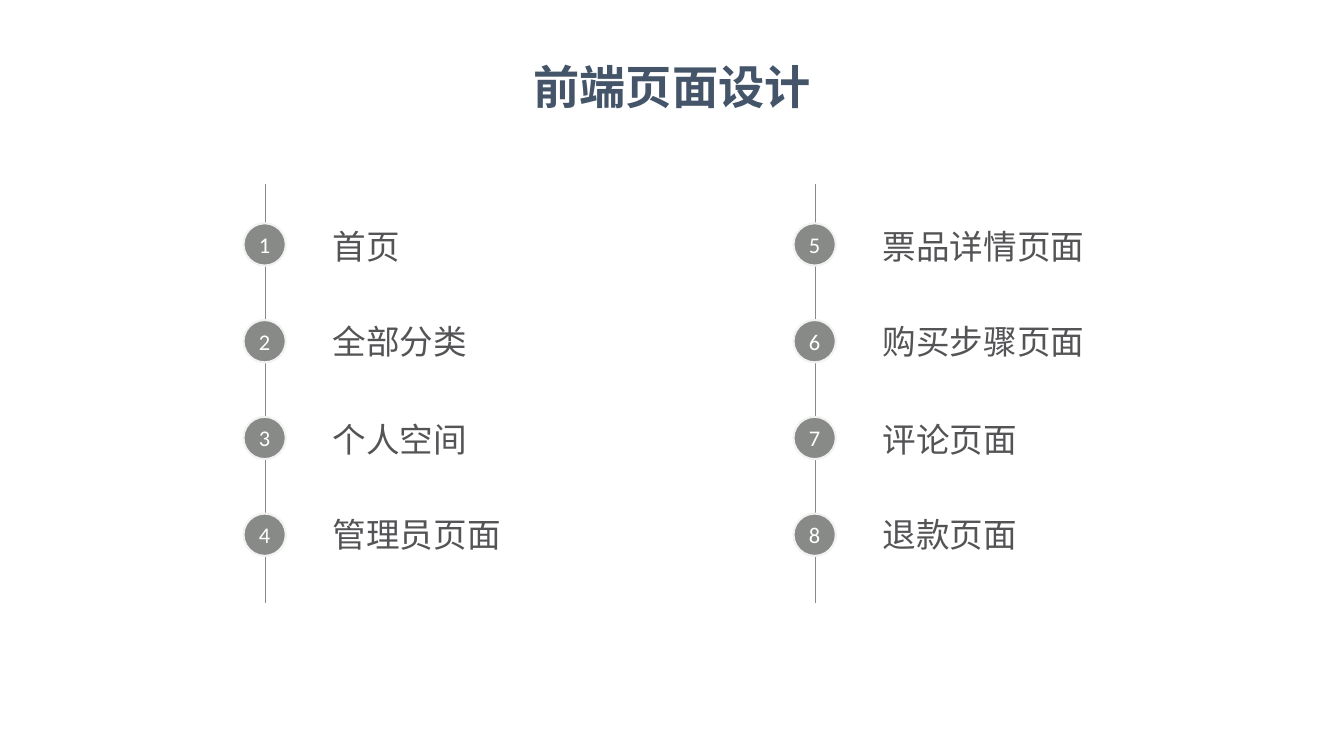
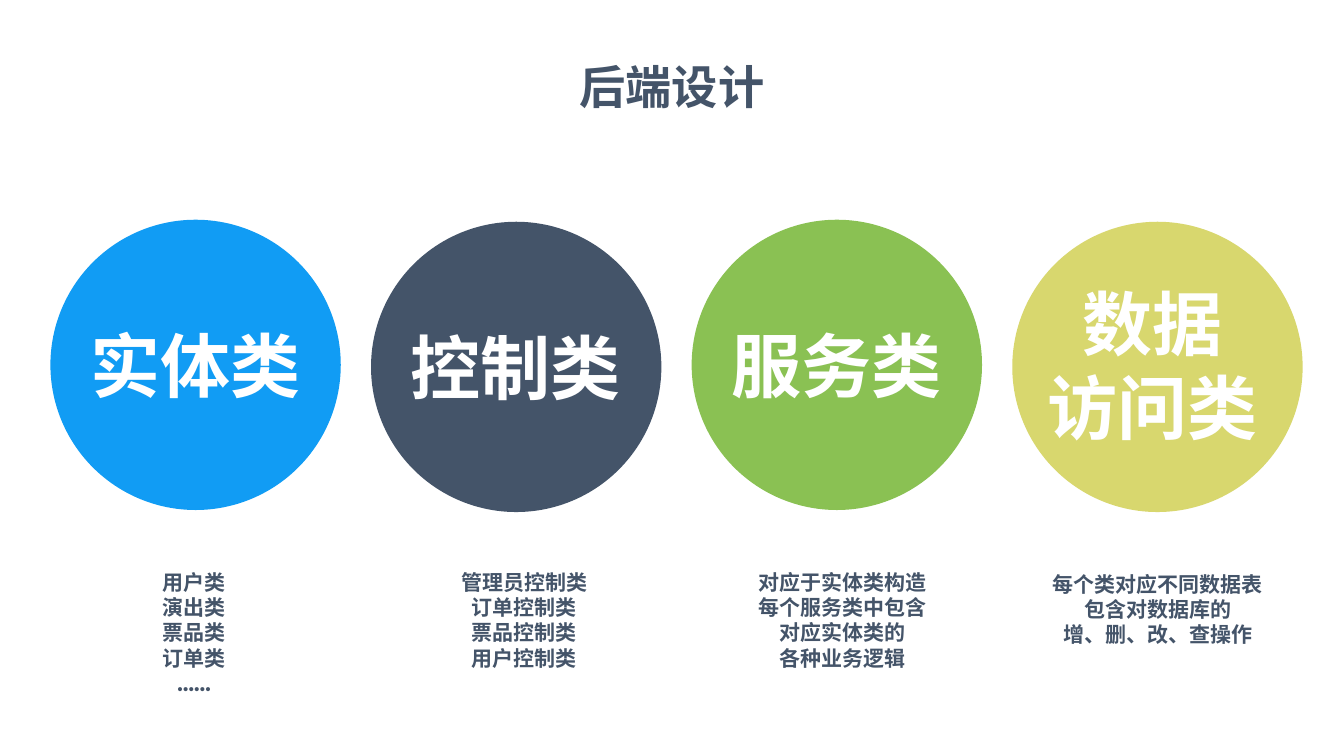
from pptx import Presentation
from pptx.dml.color import RGBColor
from pptx.enum.shapes import MSO_CONNECTOR, MSO_SHAPE
from pptx.enum.text import MSO_ANCHOR, MSO_AUTO_SIZE, PP_ALIGN
from pptx.oxml.ns import qn
from pptx.util import Inches, Pt
from lxml import etree

SLIDE_WIDTH, SLIDE_HEIGHT = 26.66, 15
NAVY, GRAY, TEXT_GRAY = "445469", "888A87", "545356"
WHITE, PALE = "FFFFFF", "F2F2F2"
BLUE, GREEN, YELLOW = "119CF4", "8AC153", "D8D76E"
HEADING_FONT, ITEM_FONT, NUMBER_FONT = "Montserrat", "Arial", "Calibri"

TIMELINES = [
    (4.83, 1, ["首页", "全部分类", "个人空间", "管理员页面"]),
    (15.74, 5, ["票品详情页面", "购买步骤页面", "评论页面", "退款页面"]),
]
ITEM_TOPS = [4.43, 6.31, 8.27, 10.15]
BADGE_TOP, BADGE_STEP, BADGE_SIZE = 4.43, 1.92, 0.84

LAYERS = [
    (BLUE, 4.36, "实体类", 3.85, 11.24, "用户类\n演出类\n票品类\n订单类\n……"),
    (NAVY, 4.4, "控制类", 10.4, 11.24,
     "管理员控制类\n订单控制类\n票品控制类\n用户控制类"),
    (GREEN, 4.36, "服务类", 16.71, 11.24,
     "对应于实体类构造\n每个服务类中包含\n对应实体类的\n各种业务逻辑"),
    (YELLOW, 4.4, "数据\n访问类", 22.97, 11.27,
     "每个类对应不同数据表\n包含对数据库的\n增、删、改、查操作"),
]
LAYER_LEFT, LAYER_STEP, LAYER_SIZE = 1, 6.36, 5.76


def color(hex_code):
    return RGBColor.from_string(hex_code)


def write(frame, text, size, font, fill, bold=False, align=PP_ALIGN.CENTER,
          spacing=None, anchor=MSO_ANCHOR.TOP, wrap=False, insets=(0.1, 0.05)):
    frame.word_wrap = wrap
    frame.vertical_anchor = anchor
    frame.margin_left = frame.margin_right = Inches(insets[0])
    frame.margin_top = frame.margin_bottom = Inches(insets[1])
    for index, line in enumerate(text.split("\n")):
        paragraph = frame.paragraphs[0] if index == 0 else frame.add_paragraph()
        paragraph.alignment = align
        if spacing:
            paragraph.line_spacing = Pt(spacing)
        run = paragraph.add_run()
        run.text = line
        run.font.size = Pt(size)
        run.font.name = font
        run.font.bold = bold
        run.font.color.rgb = color(fill)
        east_asian = etree.SubElement(run.font._element, qn("a:ea"))
        east_asian.set("typeface", font)


def add_text(slide, left, top, width, height, text, **style):
    box = slide.shapes.add_textbox(Inches(left), Inches(top), Inches(width), Inches(height))
    write(box.text_frame, text, **style)
    box.text_frame.auto_size = MSO_AUTO_SIZE.SHAPE_TO_FIT_TEXT


def add_heading(slide, left, top, width, height, text, size, fill=NAVY, **style):
    add_text(slide, left, top, width, height, text, size=size, font=HEADING_FONT,
             fill=fill, bold=True, **style)


def add_title(slide, text, width):
    add_heading(slide, (SLIDE_WIDTH - width) / 2, 0.81, width, 1.39, text, 66, spacing=100)


def add_circle(slide, left, top, size, fill, outline=None):
    circle = slide.shapes.add_shape(MSO_SHAPE.OVAL, Inches(left), Inches(top),
                                    Inches(size), Inches(size))
    circle.shadow.inherit = False
    circle.fill.solid()
    circle.fill.fore_color.rgb = color(fill)
    if outline:
        circle.line.color.rgb = color(outline)
        circle.line.width = Pt(3)
    else:
        circle.line.fill.background()
    return circle


def add_rail(slide, x, top, bottom):
    rail = slide.shapes.add_connector(MSO_CONNECTOR.STRAIGHT, Inches(x), Inches(top),
                                      Inches(x), Inches(bottom))
    rail.line.color.rgb = color(GRAY)
    rail.line.width = Pt(0.5)
    etree.SubElement(rail._element.spPr, qn("a:effectLst"))


def add_timeline(slide, left, first_number, items):
    add_rail(slide, left + BADGE_SIZE / 2 + 0.01, 3.65, 11.97)
    for index, (item, item_top) in enumerate(zip(items, ITEM_TOPS)):
        badge = add_circle(slide, left, BADGE_TOP + index * BADGE_STEP, BADGE_SIZE, GRAY, PALE)
        write(badge.text_frame, str(first_number + index), size=32, font=NUMBER_FONT,
              fill=WHITE, anchor=MSO_ANCHOR.MIDDLE, insets=(0, 0))
        add_text(slide, left + 1.67, item_top, 7.35, 0.91, item, size=48, font=ITEM_FONT,
                 fill=TEXT_GRAY, align=PP_ALIGN.JUSTIFY, wrap=True)


def add_layer(slide, left, fill, top, label, center, details_top, details):
    add_circle(slide, left, top, LAYER_SIZE, fill)
    if "\n" in label:
        add_heading(slide, left, top + 1.11, 5.56, 3.47, label, 100, WHITE,
                    spacing=120, wrap=True)
    else:
        add_heading(slide, left + 0.67, top + 1.99, 4.41, 1.78, label, 100, WHITE, spacing=120)
    lines = details.split("\n")
    width = max(map(len, lines)) * 30 / 72 + 0.24
    height = len(lines) * 0.5 + 0.12
    add_heading(slide, center - width / 2, details_top, width, height, details, 30,
                anchor=MSO_ANCHOR.MIDDLE)


def add_slide(deck):
    slide = deck.slides.add_slide(deck.slide_layouts[6])
    slide.background.fill.solid()
    slide.background.fill.fore_color.rgb = color(WHITE)
    return slide


def main():
    deck = Presentation()
    deck.slide_width = Inches(SLIDE_WIDTH)
    deck.slide_height = Inches(SLIDE_HEIGHT)

    frontend = add_slide(deck)
    add_title(frontend, "前端页面设计", 5.92)
    for timeline in TIMELINES:
        add_timeline(frontend, *timeline)

    backend = add_slide(deck)
    add_title(backend, "后端设计", 3.94)
    for index, layer in enumerate(LAYERS):
        add_layer(backend, LAYER_LEFT + index * LAYER_STEP, *layer)

    deck.save("out.pptx")


if __name__ == "__main__":
    main()
